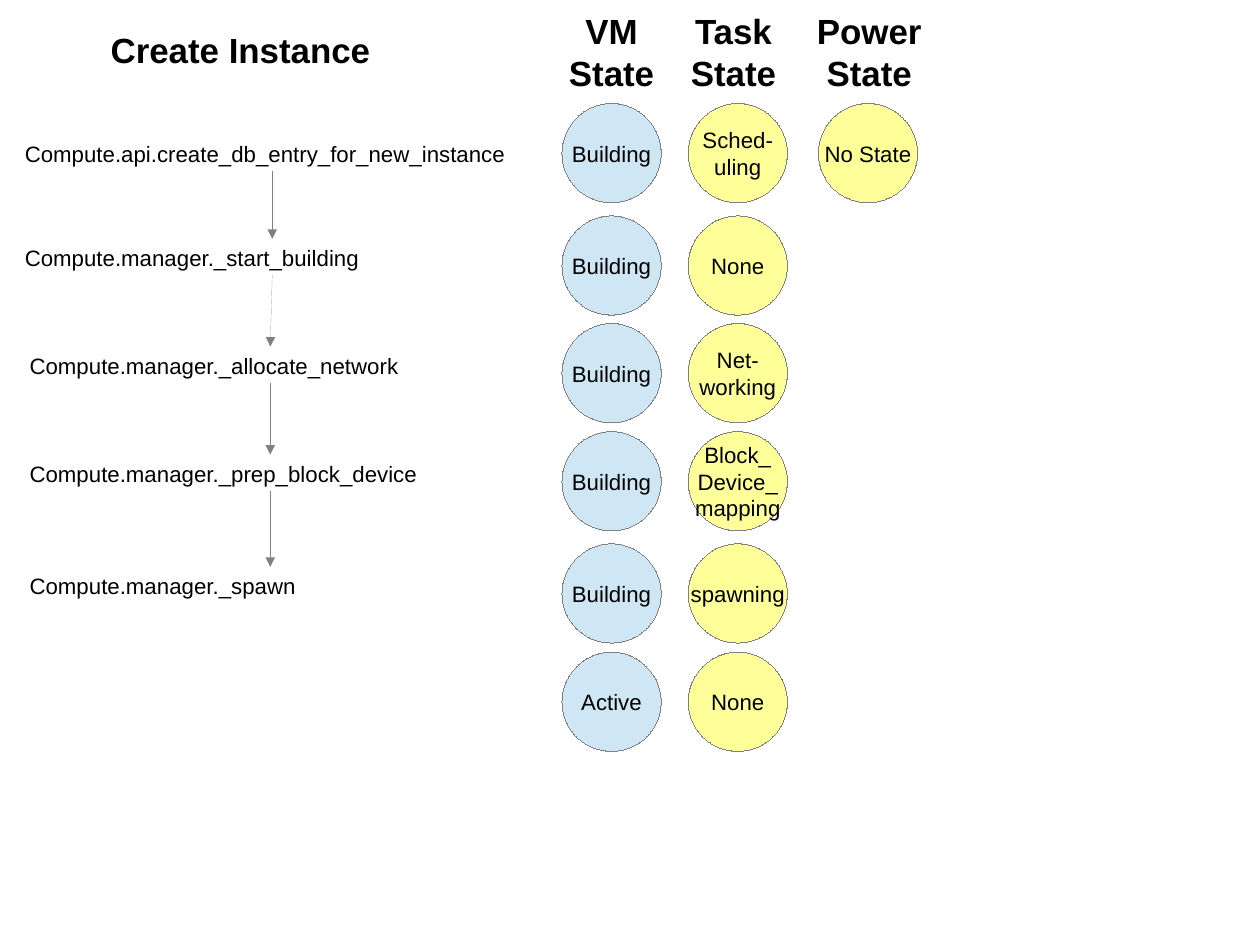
from lxml import etree
from pptx import Presentation
from pptx.dml.color import RGBColor
from pptx.enum.shapes import MSO_CONNECTOR, MSO_SHAPE
from pptx.enum.text import MSO_ANCHOR, MSO_AUTO_SIZE, PP_ALIGN
from pptx.oxml.ns import qn
from pptx.util import Pt

STRAIGHT, ELLIPSE = MSO_CONNECTOR.STRAIGHT, MSO_SHAPE.OVAL
TOP, MIDDLE = MSO_ANCHOR.TOP, MSO_ANCHOR.MIDDLE
LEFT, CENTER = PP_ALIGN.LEFT, PP_ALIGN.CENTER
NO_FIT = MSO_AUTO_SIZE.NONE

BLACK = RGBColor(0x00, 0x00, 0x00)
GRAY = RGBColor(0x80, 0x80, 0x80)
BLUE = RGBColor(0xCF, 0xE7, 0xF5)
YELLOW = RGBColor(0xFF, 0xFF, 0x99)

HEADING = "Create Instance"

# text, left, width, distance below the top of its row
STEPS = [
    ("Compute.api.create_db_entry_for_new_instance", 8.5, 326, 19.8),
    ("Compute.manager._start_building", 8.5, 326, 14.5),
    ("Compute.manager._allocate_network", 11.5, 317.5, 14.5),
    ("Compute.manager._prep_block_device", 11.5, 317.5, 14.5),
    ("Compute.manager._spawn", 11.5, 317.5, 14.5),
]

# header, header left, header width, circle left, fill, states
STATE_COLUMNS = [
    ("VM\nState", 351.5, 67.5, 354, BLUE, ["Building"] * 5 + ["Active"]),
    ("Task\nState", 428.3, 67.5, 433.5, YELLOW,
     ["Sched-\nuling", "None", "Net-\nworking", "Block_\nDevice_\nmapping",
      "spawning", "None"]),
    ("Power\nState", 507.3, 80.5, 515.5, YELLOW, ["No State"]),
]

SLIDE_SIZE = (793.7, 595.28)
ROW_TOPS = [65.2, 136, 203.8, 271.9, 342.6, 410.8]
DIAMETER = 62.5
STEP_HEIGHT = 22.7
HEADER_TOP, HEADER_HEIGHT = 2.8, 57.5
HAIRLINE = Pt(0.01)

HEADING_FONT = {"name": "Arial", "size": Pt(22), "bold": True}
BODY_FONT = {"name": "Arial", "size": Pt(14), "bold": False}


def points(*lengths):
    return [Pt(length) for length in lengths]


def write(shape, text, font, align=CENTER, anchor=TOP, wrap=False):
    frame = shape.text_frame
    frame.text = text
    margins = {"margin_left": Pt(7.2), "margin_right": Pt(7.2),
               "margin_top": Pt(3.6), "margin_bottom": Pt(3.6)}
    layout = {"auto_size": NO_FIT, "word_wrap": wrap, "vertical_anchor": anchor}
    for key, value in {**margins, **layout}.items():
        setattr(frame, key, value)
    for paragraph in frame.paragraphs:
        paragraph.alignment = align
        for run in paragraph.runs:
            for key, value in font.items():
                setattr(run.font, key, value)
            run.font.color.rgb = BLACK


def add_label(slide, box, text, font, **layout):
    write(slide.shapes.add_textbox(*points(*box)), text, font, **layout)


def add_state(slide, left, top, fill, text):
    circle = slide.shapes.add_shape(ELLIPSE, *points(left, top, DIAMETER, DIAMETER))
    circle.shadow.inherit = False
    circle.fill.solid()
    circle.fill.fore_color.rgb = fill
    circle.line.color.rgb = GRAY
    circle.line.width = HAIRLINE
    write(circle, text, BODY_FONT, anchor=MIDDLE)


def add_arrow(slide, start, end):
    arrow = slide.shapes.add_connector(STRAIGHT, *points(*start, *end))
    arrow.line.color.rgb = GRAY
    arrow.line.width = HAIRLINE
    outline = arrow._element.spPr.find(qn("a:ln"))
    etree.SubElement(outline, qn("a:tailEnd"), type="triangle")
    etree.SubElement(arrow._element.spPr, qn("a:effectLst"))


def main():
    deck = Presentation()
    deck.slide_width, deck.slide_height = points(*SLIDE_SIZE)
    slide = deck.slides.add_slide(deck.slide_layouts[5])

    title = slide.shapes.title
    title.left, title.top, title.width, title.height = points(62.5, 14.5, 178, 32.5)
    write(title, HEADING, HEADING_FONT)

    for header, header_left, header_width, left, fill, states in STATE_COLUMNS:
        add_label(slide, (header_left, HEADER_TOP, header_width, HEADER_HEIGHT),
                  header, HEADING_FONT)
        for top, state in zip(ROW_TOPS, states):
            add_state(slide, left, top, fill, state)

    previous_bottom = None
    for row_top, (step, left, width, drop) in zip(ROW_TOPS, STEPS):
        top, middle = row_top + drop, left + width / 2
        add_label(slide, (left, top, width, STEP_HEIGHT), step, BODY_FONT,
                  align=LEFT, wrap=True)
        if previous_bottom:
            add_arrow(slide, previous_bottom, (middle, top))
        previous_bottom = (middle, top + STEP_HEIGHT)

    deck.save("out.pptx")


if __name__ == "__main__":
    main()
